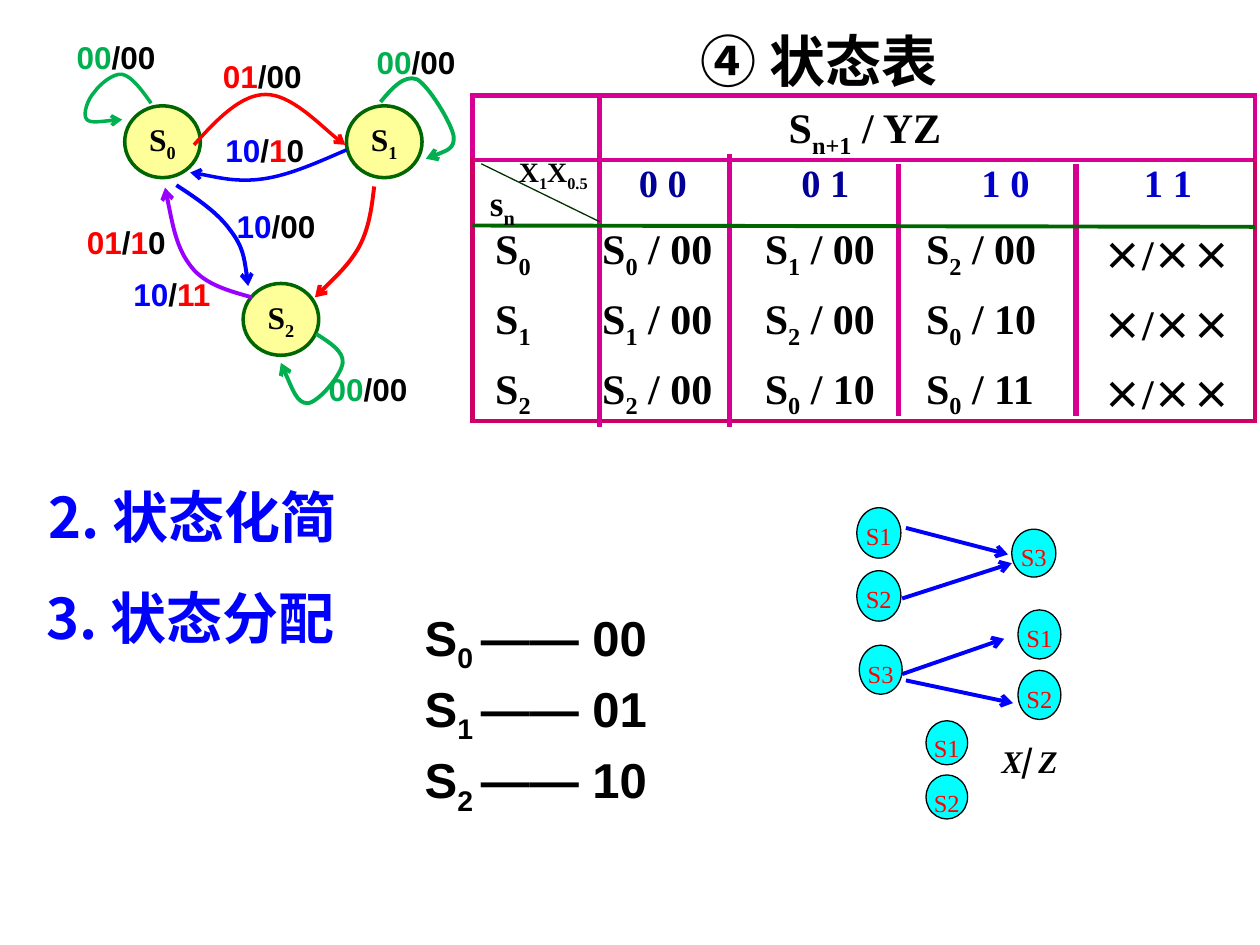
from dataclasses import dataclass

from lxml import etree
from pptx import Presentation
from pptx import util as u
from pptx.dml.color import RGBColor
from pptx.enum import shapes, text
from pptx.oxml.ns import qn

# The slide is a grid of 100 columns by 75 rows.
COLUMN = ROW = u.Inches(0.1)
CJK, SERIF, SANS = "Noto Sans CJK SC", "Times New Roman", "Arial"
BLACK, WHITE, RED, BLUE, GREEN = "000000", "FFFFFF", "FF0000", "0000FF", "00B050"
PINK, CRIMSON, DARK_GREEN, PURPLE = "D60093", "CC0066", "006600", "9900FF"
CYAN, YELLOW, NAVY, MID_BLUE = "00FFFF", "FFFF99", "000099", "0000CC"
LEFT, CENTRE = text.PP_ALIGN.LEFT, text.PP_ALIGN.CENTER
TOP, MIDDLE = text.MSO_ANCHOR.TOP, text.MSO_ANCHOR.MIDDLE


@dataclass
class Span:
    text: str
    colour: str | None = None
    font: str | None = None
    size: float | None = None


@dataclass
class Label:
    left: float
    top: float
    width: float
    spans: list[Span]


@dataclass
class Node:
    name: str
    left: float
    top: float
    width: float
    height: float


@dataclass
class Curve:
    colour: str
    width: float
    points: list[tuple[float, float]]  # a start, then three points per Bezier piece


def rgb(value: str) -> RGBColor:
    return RGBColor.from_string(value)


def area(left: float, top: float, width: float, height: float) -> list[int]:
    return [round(COLUMN * left), round(ROW * top), round(COLUMN * width), round(ROW * height)]


def write(frame, *lines, size=18, font=SERIF, colour=BLACK, bold=True, italic=False,
          align=LEFT, anchor=TOP, wrap=True, margins=None, spacing=None, before=0):
    """Fill a text frame; in each span, text between underscores is a subscript."""
    frame.word_wrap, frame.vertical_anchor = wrap, anchor
    frame.auto_size = text.MSO_AUTO_SIZE.NONE
    if margins is not None:
        frame.margin_left = frame.margin_right = u.Inches(margins)
        frame.margin_top = frame.margin_bottom = u.Inches(margins)
    for index, line in enumerate(lines):
        para = frame.add_paragraph() if index else frame.paragraphs[0]
        para.alignment, para.line_spacing, para.space_before = align, spacing, u.Pt(before)
        for span in [Span(line)] if isinstance(line, str) else line:
            for order, piece in enumerate(span.text.split("_")):
                if not piece:
                    continue
                run = para.add_run()
                run.text = piece
                run.font.size = u.Pt(span.size or size)
                run.font.bold, run.font.italic = bold, italic
                run.font.name = span.font or font
                run.font.color.rgb = rgb(span.colour or colour)
                properties = run.font._element
                if order % 2:
                    properties.set("baseline", "-25000")
                east = etree.SubElement(properties, qn("a:ea"))
                east.set("typeface", span.font or font)


def add_text(page, place, *lines, **style):
    write(page.shapes.add_textbox(*area(*place)).text_frame, *lines, **style)


def add_node(page, node: Node, fill: str, line: str, weight: float, **style):
    oval = page.shapes.add_shape(shapes.MSO_SHAPE.OVAL,
                                 *area(node.left, node.top, node.width, node.height))
    oval.shadow.inherit = False
    oval.fill.solid()
    oval.fill.fore_color.rgb = rgb(fill)
    oval.line.color.rgb, oval.line.width = rgb(line), u.Pt(weight)
    write(oval.text_frame, node.name, align=CENTRE, **style)


def style_line(shape, colour: str, weight: float, arrow: bool):
    shape.line.color.rgb, shape.line.width = rgb(colour), u.Pt(weight)
    if arrow:
        etree.SubElement(shape.line._get_or_add_ln(), qn("a:tailEnd")).set("type", "arrow")


def add_line(page, start, end, colour: str, weight: float, arrow=False):
    line = page.shapes.add_connector(shapes.MSO_CONNECTOR.STRAIGHT, *area(*start, *end))
    style_line(line, colour, weight, arrow)
    etree.SubElement(line._element.spPr, qn("a:effectLst"))


def add_curve(page, curve: Curve):
    start, *rest = [(COLUMN * x, ROW * y) for x, y in curve.points]
    builder = page.shapes.build_freeform(*start)
    builder.add_line_segments(rest, close=False)
    shape = builder.convert_to_shape()
    shape.shadow.inherit = False
    shape.fill.background()
    style_line(shape, curve.colour, curve.width, arrow=True)
    segments = list(shape._element.iter(qn("a:lnTo")))
    for index in range(0, len(segments), 3):  # three straight segments become one Bezier
        bezier = etree.Element(qn("a:cubicBezTo"))
        segments[index].addprevious(bezier)
        for segment in segments[index:index + 3]:
            bezier.append(segment[0])
            segment.getparent().remove(segment)


def set_borders(cell, borders):
    """Set the left, right, top and bottom borders, each a colour or None."""
    properties = cell._tc.get_or_add_tcPr()
    for index, (side, colour) in enumerate(zip("LRTB", borders)):
        line = etree.Element(qn(f"a:ln{side}"))
        if colour:
            line.set("w", str(u.Pt(3)))
            fill = etree.SubElement(line, qn("a:solidFill"))
            etree.SubElement(fill, qn("a:srgbClr")).set("val", colour)
        else:
            etree.SubElement(line, qn("a:noFill"))
        properties.insert(index, line)


def add_state_table(page):
    widths, heights = [10.1, 10.3, 13.4, 14.1, 14.2], [5.1, 5.2, 4.5, 6.6, 4.2]
    header_indents, input_indents = [0, 15, 0, 0, 0], [0, 3.1, 5.7, 6.6, 5.4]
    state_indents = [1.8, 0.2, 2.8, 2.2, 2.2]
    indents = [header_indents, input_indents] + [state_indents] * 3
    cross = Span("×", font=CJK, size=22)
    unused = [cross, Span("/"), cross, cross]
    rows = [["", "S_n+1_ / YZ", "", "", ""],
            ["", *([Span(name, colour)] for name, colour in
                   [("0 0", NAVY), ("0 1", NAVY), ("1 0", MID_BLUE), ("1 1", MID_BLUE)])],
            ["S_0_", "S_0_ / 00", "S_1_ / 00", "S_2_ / 00", unused],
            ["S_1_", "S_1_ / 00", "S_2_ / 00", "S_0_ / 10", unused],
            ["S_2_", "S_2_ / 00", "S_0_ / 10", "S_0_ / 11", unused]]
    table = page.shapes.add_table(5, 5, *area(37.5, 7.6, sum(widths), sum(heights))).table
    table.first_row = table.horz_banding = False
    for column, width in zip(table.columns, widths):
        column.width = round(COLUMN * width)
    rules = [PINK, PINK, None, None, None, CRIMSON]
    top_margins = [0.8, 0.3, 0, 0, 0]
    for r, (row, height) in enumerate(zip(rows, heights)):
        table.rows[r].height = round(ROW * height)
        edge = CRIMSON if r else PINK
        for c, content in enumerate(row):
            cell = table.cell(r, c)
            cell.fill.solid()
            cell.fill.fore_color.rgb = rgb(WHITE)
            cell.margin_right = cell.margin_bottom = 0
            cell.margin_left = round(COLUMN * indents[r][c])
            cell.margin_top = round(ROW * top_margins[r])
            cell.vertical_anchor = TOP if r == 1 else MIDDLE
            write(cell.text_frame, content, size=22 if r == 1 else 24, anchor=None, wrap=None)
            set_borders(cell, [None if c else edge, edge if c == 4 else None,
                               rules[r], rules[r + 1]])
    table.cell(0, 1).merge(table.cell(0, 4))
    set_borders_right = table.cell(0, 1)._tc.tcPr.find(qn("a:lnR"))
    set_borders_right.getparent().replace(
        set_borders_right, etree.fromstring(etree.tostring(
            table.cell(0, 4)._tc.tcPr.find(qn("a:lnR")))))
    for x, top, bottom in [(47.6, 7.6, 33.9), (57.9, 12.2, 33.9), (71.3, 13, 33), (85.4, 13, 33)]:
        add_line(page, (x, top), (x, bottom), PINK, 3)
    add_line(page, (37.5, 17.9), (99.6, 18), DARK_GREEN, 2.25)
    add_line(page, (38.2, 13), (47.6, 17.6), "003300", 0.75)
    add_text(page, (37.9, 13.9, 7.5, 4.3), "s_n_", size=20)
    add_text(page, (40.2, 11.8, 9.2, 3.7), "X_1_X_0.5_", size=16)


def add_state_diagram(page):
    curves = [
        Curve(GREEN, 2, [(12, 8.2), (11.2, 7.1), (10.5, 6.1), (9.7, 5.9), (9, 5.8), (7.9, 6.7),
                         (7.5, 7.3), (7, 7.8), (6.5, 9.1), (6.9, 9.5), (7.2, 9.8), (9.3, 9.5),
                         (9.7, 9.5)]),
        Curve(RED, 2, [(15.4, 11.5), (17.2, 9.5), (19.1, 7.5), (21.1, 7.5), (23.1, 7.5),
                       (26.3, 10.8), (27.4, 11.5)]),
        Curve(BLUE, 2, [(27.5, 11.9), (25.2, 12.9), (23, 13.9), (20.9, 14.2), (18.8, 14.5),
                        (16, 13.8), (15.1, 13.7)]),
        Curve(GREEN, 2.25, [(25.1, 26.5), (26.2, 27.2), (27.3, 27.9), (27.2, 28.8), (27.1, 29.8),
                            (25.2, 32), (24.4, 32), (23.6, 32), (23, 30.4), (22.3, 28.8)]),
        Curve(RED, 2.25, [(29.7, 14.8), (29.5, 16.5), (29.3, 18.1), (28.5, 19.6), (27.7, 21),
                          (26.3, 22.3), (25, 23.6)]),
        Curve(PURPLE, 2.25, [(20, 23.6), (18.2, 23.1), (16.3, 22.6), (15.2, 21.2), (14, 19.7),
                             (13.6, 17.3), (13.1, 14.9)]),
        Curve(GREEN, 2.25, [(30.2, 8.1), (31.1, 7), (32.1, 5.9), (33.1, 6.3), (34, 6.8),
                            (35.8, 9.7), (36, 10.8), (36.1, 11.8), (34.9, 12.2), (33.8, 12.6)]),
        Curve(BLUE, 2.25, [(14, 14.7), (15.7, 15.8), (17.3, 16.9), (18.3, 18.3), (19.3, 19.6),
                           (19.5, 21.1), (19.7, 22.7)])]
    stay = [Span("00", GREEN), Span("/00")]
    swap = [Span("/"), Span("1", RED), Span("0")]
    labels = [Label(5.1, 2.5, 9, stay), Label(28.9, 2.9, 9.4, stay), Label(25.1, 28.9, 9.4, stay),
              Label(16.7, 4, 9.5, [Span("01", RED), Span("/00")]),
              Label(5.9, 17.2, 10.8, [Span("01", RED), *swap]),
              Label(16.9, 9.9, 9.4, [Span("10", BLUE), *swap]),
              Label(9.6, 21.3, 10.8, [Span("10", BLUE), Span("/"), Span("11", RED)]),
              Label(17.8, 15.9, 9.4, [Span("10", BLUE), Span("/00")])]
    for index, (left, top) in enumerate([(9.9, 8.4), (27.5, 8.4), (19.3, 22.5)]):
        add_node(page, Node(f"S_{index}_", left, top, 6, 5.7), YELLOW, DARK_GREEN, 2,
                 anchor=MIDDLE, margins=0)
    for curve in curves:
        add_curve(page, curve)
    for label in labels:
        add_text(page, (label.left, label.top, label.width, 4), label.spans, font=SANS)


def add_adjacency_rules(page):
    arrows = [((71.9, 41.9), (80, 44)), ((71.6, 47.5), (80.3, 44.7)),
              ((71.6, 53.5), (79.7, 50.7)), ((71.9, 54), (80.4, 55.8))]
    nodes = [Node("S1", 68, 40.3, 3.5, 4), Node("S2", 68, 45.3, 3.5, 4),
             Node("S3", 80.3, 42, 3.5, 3.8), Node("S1", 80.8, 48.4, 3.4, 3.9),
             Node("S2", 80.8, 53.2, 3.4, 3.9), Node("S3", 68.2, 51.2, 3.4, 3.9),
             Node("S1", 73.5, 57.2, 3.3, 3.5), Node("S2", 73.5, 61.5, 3.3, 3.5)]
    for start, end in arrows:
        add_line(page, start, end, BLUE, 2.25, arrow=True)
    for node in nodes:
        add_node(page, node, CYAN, BLACK, 0.75, size=14, colour=RED, bold=False, wrap=False)
    for letter, left, font in [("X", 79.5, SERIF), ("/", 81.1, CJK), ("Z", 82.4, SERIF)]:
        add_text(page, (left, 58.9, 1.2, 2.3), letter, font=font, italic=font == SERIF,
                 wrap=False, margins=0)


def main():
    deck = Presentation()
    deck.slide_width, deck.slide_height = COLUMN * 100, ROW * 75
    page = deck.slides.add_slide(deck.slide_layouts[1])
    title, codes = page.placeholders
    title.left, title.top, title.width, title.height = area(54.6, 2.2, 31.5, 5.1)
    write(title.text_frame, "④ 状态表", size=32, font=CJK, anchor=MIDDLE)
    codes.left, codes.top, codes.width, codes.height = area(32.7, 48.6, 27.5, 15.7)
    write(codes.text_frame, "S_0 _—— 00", "S_1 _—— 01", "S_2 _—— 10",
          size=28, font=SANS, spacing=0.7, before=14)
    for para in codes.text_frame.paragraphs:
        properties = para._p.get_or_add_pPr()
        properties.set("marL", "0")
        properties.set("indent", "0")
        etree.SubElement(properties, qn("a:buNone"))
    for heading, left, top in [("2. 状态化简", 2.9, 37.8), ("3. 状态分配", 2.7, 45.8)]:
        add_text(page, (left, top, 38, 6.4), heading, size=32, font=CJK, colour=BLUE)
    add_state_table(page)
    add_state_diagram(page)
    add_adjacency_rules(page)
    deck.save("out.pptx")


if __name__ == "__main__":
    main()
